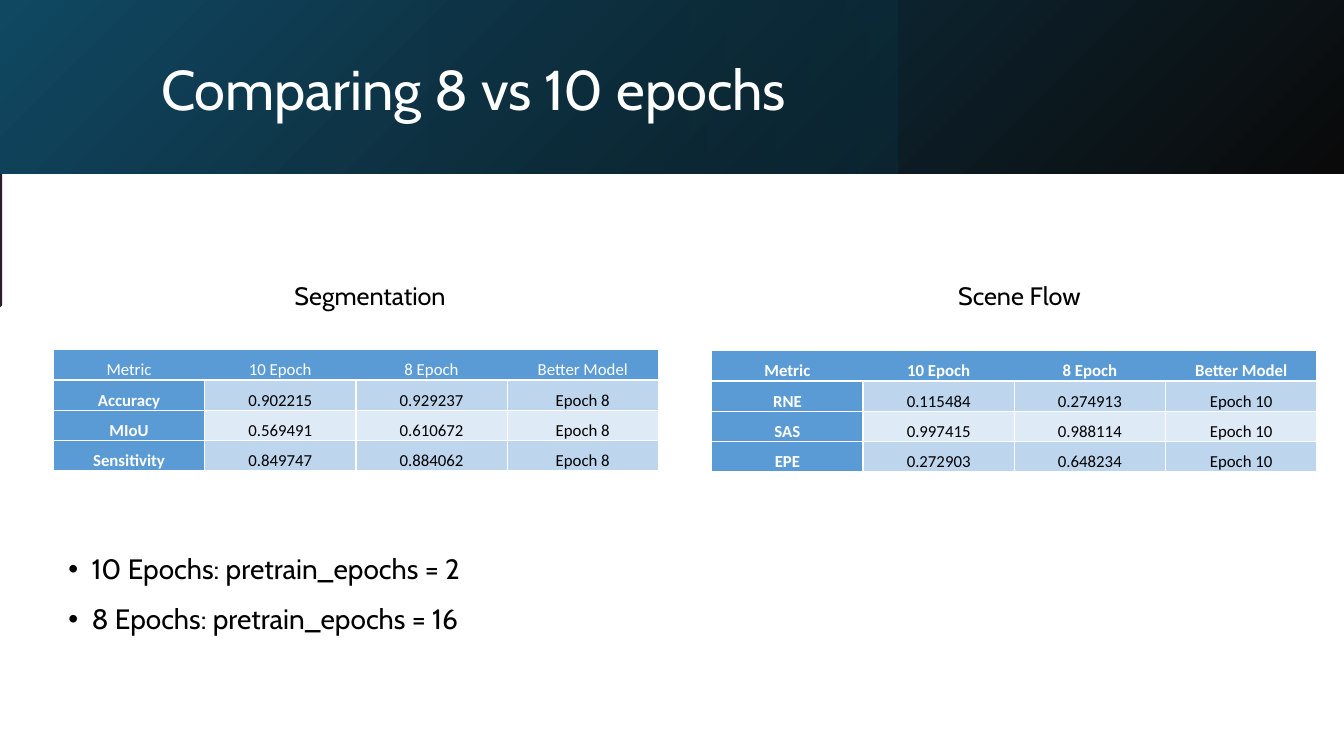
from dataclasses import dataclass

from lxml.etree import SubElement
from pptx import Presentation
from pptx.dml.color import RGBColor
from pptx.enum.shapes import MSO_SHAPE
from pptx.enum.text import MSO_ANCHOR, MSO_AUTO_SIZE, PP_ALIGN
from pptx.oxml.ns import qn
from pptx.util import Emu, Pt

EMU_PER_PX = 9144
WHITE = RGBColor(0xFF, 0xFF, 0xFF)
BLACK = RGBColor(0x00, 0x00, 0x00)
OCEAN = RGBColor(0x10, 0x48, 0x62)
NIGHT = RGBColor(0x0A, 0x0A, 0x0A)
TEAL = RGBColor(0x0B, 0x30, 0x41)
PLUM = RGBColor(0x30, 0x1B, 0x2D)
BLUE = RGBColor(0x5B, 0x9B, 0xD5)
BAND_DARK = RGBColor(0xBD, 0xD6, 0xEE)
BAND_LIGHT = RGBColor(0xDE, 0xEA, 0xF6)
HEADINGS = ("Metric", "10 Epoch", "8 Epoch", "Better Model")
COLUMN_WIDTH, ROW_HEIGHT = 150, 28


@dataclass(frozen=True)
class Panel:
    left: int
    width: int
    start: RGBColor
    end: RGBColor
    angle: int
    start_alpha: int
    end_alpha: int


@dataclass(frozen=True)
class Comparison:
    caption: str
    caption_left: int
    left: int
    top: int
    bold_header: bool
    results: tuple[tuple[str, str, str, str], ...]


PANELS = (
    Panel(0, 1334, OCEAN, NIGHT, 315, 100, 100),
    Panel(419, 471, TEAL, TEAL, 0, 0, 45),
)
COMPARISONS = (
    Comparison("Segmentation", 281, 53, 347, False, (
        ("Accuracy", "0.902215", "0.929237", "Epoch 8"),
        ("MIoU", "0.569491", "0.610672", "Epoch 8"),
        ("Sensitivity", "0.849747", "0.884062", "Epoch 8"),
    )),
    Comparison("Scene Flow", 925, 706, 348, True, (
        ("RNE", "0.115484", "0.274913", "Epoch 10"),
        ("SAS", "0.997415", "0.988114", "Epoch 10"),
        ("EPE", "0.272903", "0.648234", "Epoch 10"),
    )),
)
SETTINGS = ("10 Epochs: pretrain_epochs = 2", "8 Epochs: pretrain_epochs = 16")


def px(length: int) -> Emu:
    return Emu(length * EMU_PER_PX)


def style(paragraph, font: str, size: int, color: RGBColor, bold: bool = False) -> None:
    paragraph.font.name = font
    paragraph.font.size = Pt(size)
    paragraph.font.bold = bold
    paragraph.font.color.rgb = color


def add_panel(slide, panel: Panel) -> None:
    shape = slide.shapes.add_shape(
        MSO_SHAPE.RECTANGLE, px(panel.left), 0, px(panel.width), px(172))
    shape.shadow.inherit = False
    shape.line.fill.background()
    shape.fill.gradient()
    shape.fill.gradient_angle = panel.angle
    stops = shape.fill.gradient_stops
    stops[0].position, stops[1].position = 0, 1
    stops[0].color.rgb, stops[1].color.rgb = panel.start, panel.end
    colors = shape.element.spPr.iter(qn("a:srgbClr"))
    for color, alpha in zip(colors, (panel.start_alpha, panel.end_alpha)):
        SubElement(color, qn("a:alpha"), val=str(alpha * 1000))


def add_edge(slide) -> None:
    builder = slide.shapes.build_freeform(0, 172, scale=EMU_PER_PX)
    builder.add_line_segments([(2, 172), (2, 303), (0, 305)], close=True)
    edge = builder.convert_to_shape()
    edge.shadow.inherit = False
    edge.fill.solid()
    edge.fill.fore_color.rgb = PLUM
    edge.line.fill.background()


def set_title(slide) -> None:
    title = slide.shapes.title
    title.element.getparent().append(title.element)
    title.left, title.top, title.width, title.height = px(150), px(35), px(1036), px(113)
    frame = title.text_frame
    frame.text = "Comparing 8 vs 10 epochs"
    frame.word_wrap = True
    frame.auto_size = MSO_AUTO_SIZE.NONE
    frame.vertical_anchor = MSO_ANCHOR.MIDDLE
    heading = frame.paragraphs[0]
    heading.alignment = PP_ALIGN.LEFT
    heading.line_spacing = 0.9
    style(heading, "Cabin", 40, WHITE)


def add_settings(slide) -> None:
    frame = slide.shapes.add_textbox(px(58), px(546), px(1039), px(151)).text_frame
    frame.word_wrap = True
    for index, setting in enumerate(SETTINGS):
        paragraph = frame.add_paragraph() if index else frame.paragraphs[0]
        paragraph.text = setting
        paragraph.line_spacing = 0.9
        paragraph.space_before = Pt(6 if index else 0)
        paragraph.space_after = Pt(8)
        properties = paragraph._p.get_or_add_pPr()
        properties.set("marL", str(px(23)))
        properties.set("indent", str(px(-23)))
        SubElement(properties, qn("a:buFont"), typeface="Arial")
        SubElement(properties, qn("a:buChar"), char="•")
        style(paragraph, "Cabin", 20, BLACK)


def add_borders(cell, hidden: tuple[str, ...]) -> None:
    properties = cell._tc.get_or_add_tcPr()
    for side in ("lnL", "lnR", "lnT", "lnB"):
        border = SubElement(properties, qn(f"a:{side}"), w=str(Pt(1)))
        if side in hidden:
            SubElement(border, qn("a:noFill"))
        else:
            fill = SubElement(border, qn("a:solidFill"))
            SubElement(fill, qn("a:srgbClr"), val=str(WHITE))


def add_comparison(slide, comparison: Comparison) -> None:
    caption = slide.shapes.add_textbox(
        px(comparison.caption_left), px(273), px(172), px(40)).text_frame
    caption.word_wrap = True
    caption.text = comparison.caption
    caption.paragraphs[0].alignment = PP_ALIGN.CENTER
    style(caption.paragraphs[0], "Cabin", 18, BLACK)

    rows = (HEADINGS, *comparison.results)
    last_column = len(HEADINGS) - 1
    table = slide.shapes.add_table(
        len(rows), len(HEADINGS), px(comparison.left), px(comparison.top),
        px(COLUMN_WIDTH * len(HEADINGS)), px(ROW_HEIGHT * len(rows))).table
    table.first_row = table.horz_banding = False
    for row_index, values in enumerate(rows):
        table.rows[row_index].height = px(ROW_HEIGHT)
        is_header = row_index == 0
        band = BAND_DARK if row_index % 2 else BAND_LIGHT
        for column, value in enumerate(values):
            cell = table.cell(row_index, column)
            is_label = is_header or column == 0
            hidden = ()
            if is_header:
                hidden = (("lnL",) if column else ()) + (
                    ("lnR",) if column < last_column else ())
            add_borders(cell, hidden)
            cell.fill.solid()
            cell.fill.fore_color.rgb = BLUE if is_label else band
            cell.margin_left = cell.margin_right = px(7)
            cell.margin_top = cell.margin_bottom = 0
            cell.text = value
            paragraph = cell.text_frame.paragraphs[0]
            paragraph.alignment = PP_ALIGN.CENTER
            paragraph.line_spacing = 1.5
            paragraph.space_after = Pt(8)
            bold = comparison.bold_header if is_header else is_label
            style(paragraph, "Calibri", 12, WHITE if is_label else BLACK, bold)


def main() -> None:
    presentation = Presentation()
    presentation.slide_width, presentation.slide_height = px(1333), px(750)
    slide = presentation.slides.add_slide(presentation.slide_layouts[5])
    add_edge(slide)
    for panel in PANELS:
        add_panel(slide, panel)
    set_title(slide)
    add_settings(slide)
    for comparison in COMPARISONS:
        add_comparison(slide, comparison)
    presentation.save("out.pptx")


if __name__ == "__main__":
    main()
